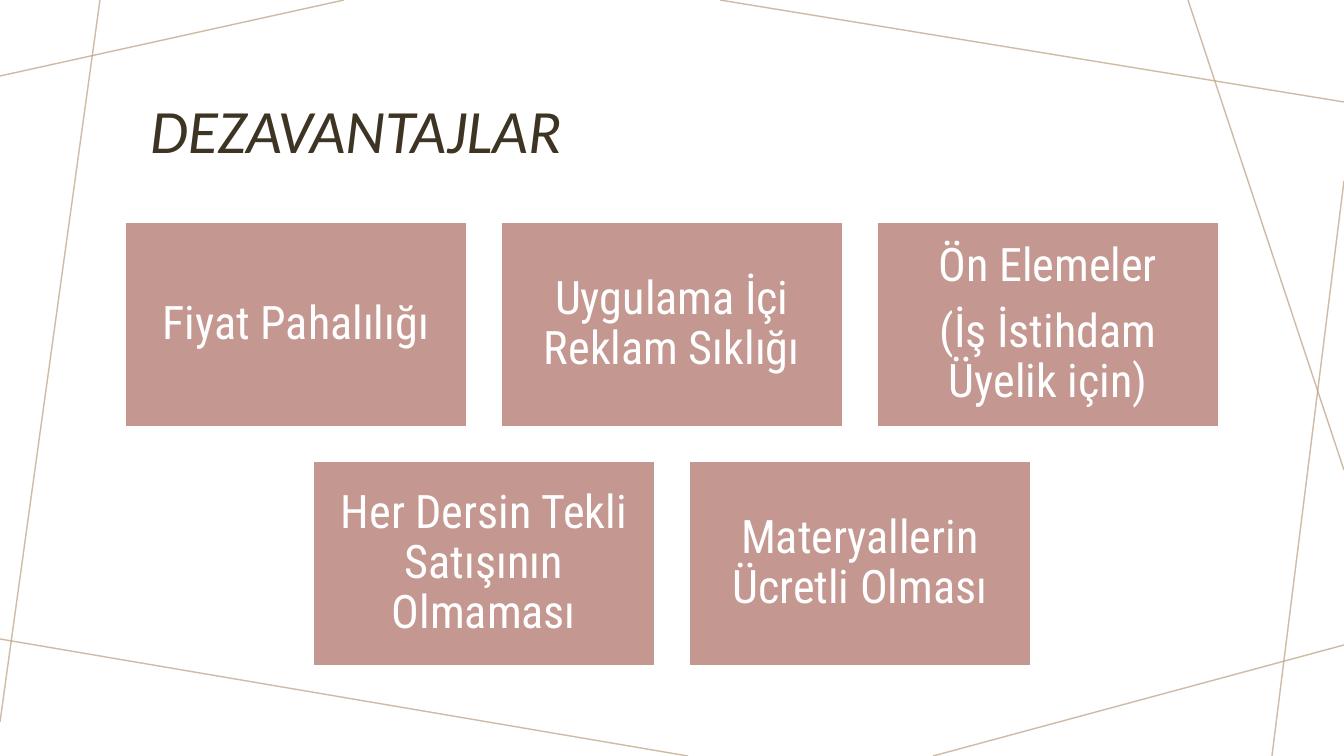
import dataclasses

import lxml.etree
import pptx
import pptx.dml.color
import pptx.enum.shapes
import pptx.enum.text
import pptx.oxml.ns
import pptx.shapes.autoshape
import pptx.slide
import pptx.text.text
import pptx.util

SCALE = 914400 / 100.8
WIDE, HIGH = 1344, 756
TAN = pptx.dml.color.RGBColor(0xBA, 0x9E, 0x7F)
ROSE = pptx.dml.color.RGBColor(0xC4, 0x97, 0x91)
BROWN = pptx.dml.color.RGBColor(0x3E, 0x34, 0x23)
WHITE = pptx.dml.color.RGBColor(0xFF, 0xFF, 0xFF)
CARD_W, CARD_H, GAP, TOP = 342, 205, 34, 222
MIDDLE = pptx.enum.text.MSO_ANCHOR.MIDDLE
ALIGN = pptx.enum.text.PP_ALIGN


def px(count: int) -> pptx.util.Emu:
    return pptx.util.Emu(round(count * SCALE))


TITLE_FONT = {"name": "Calibri", "size": pptx.util.Pt(44), "italic": True}
CARD_FONT = {"name": "Roboto Condensed", "size": pptx.util.Pt(33)}
TITLE_FRAME = {"word_wrap": True, "vertical_anchor": MIDDLE,
               "margin_left": px(24)}
CARD_FRAME = {"word_wrap": True, "vertical_anchor": MIDDLE,
              "margin_left": px(14), "margin_right": px(14),
              "margin_top": px(14), "margin_bottom": px(14)}
TITLE_PARA = {"alignment": ALIGN.LEFT, "line_spacing": 0.9}
CARD_PARA = {"alignment": ALIGN.CENTER, "line_spacing": 0.9}


@dataclasses.dataclass(frozen=True)
class Ray:
    x1: int
    y1: int
    x2: int
    y2: int


@dataclasses.dataclass(frozen=True)
class Card:
    lines: tuple[str, ...]


RAYS = (
    Ray(344, 0, 0, 76),
    Ray(100, 0, 0, 722),
    Ray(688, HIGH, 0, 639),
    Ray(WIDE, 645, 933, HIGH),
    Ray(WIDE, 181, 1272, HIGH),
    Ray(WIDE, 470, 1188, 0),
    Ray(WIDE, 102, 720, 0),
)
ROWS = (
    (Card(("Fiyat Pahalılığı",)),
     Card(("Uygulama İçi Reklam Sıklığı",)),
     Card(("Ön Elemeler", "(İş İstihdam Üyelik için)"))),
    (Card(("Her Dersin Tekli Satışının Olmaması",)),
     Card(("Materyallerin Ücretli Olması",))),
)


def apply(target: object, values: dict) -> None:
    for name, value in values.items():
        setattr(target, name, value)


def style(para: pptx.text.text._Paragraph, form: dict, font: dict,
          color: pptx.dml.color.RGBColor) -> None:
    apply(para, form)
    apply(para.font, font)
    para.font.color.rgb = color


def draw_ray(slide: pptx.slide.Slide, ray: Ray) -> None:
    line = slide.shapes.add_connector(
        pptx.enum.shapes.MSO_CONNECTOR.STRAIGHT,
        px(ray.x1), px(ray.y1), px(ray.x2), px(ray.y2))
    line.line.width = pptx.util.Pt(1)
    line.line.color.rgb = TAN
    qn = pptx.oxml.ns.qn
    props = line._element.spPr
    tint = props.find(".//" + qn("a:srgbClr"))
    lxml.etree.SubElement(tint, qn("a:alpha"), val="70000")
    lxml.etree.SubElement(props, qn("a:effectLst"))


def draw_title(slide: pptx.slide.Slide) -> None:
    title = slide.shapes.title
    apply(title, {"left": px(126), "top": px(58),
                  "width": px(1092), "height": px(152)})
    frame = title.text_frame
    frame.text = "DEZAVANTAJLAR"
    apply(frame, TITLE_FRAME)
    style(frame.paragraphs[0], TITLE_PARA, TITLE_FONT, BROWN)


def draw_card(slide: pptx.slide.Slide, card: Card, left: int, top: int) -> None:
    box = slide.shapes.add_shape(
        pptx.enum.shapes.MSO_SHAPE.RECTANGLE,
        px(left), px(top), px(CARD_W), px(CARD_H))
    box.shadow.inherit = False
    box.fill.solid()
    box.fill.fore_color.rgb = ROSE
    box.line.color.rgb = WHITE
    box.line.width = pptx.util.Pt(1)
    frame = box.text_frame
    frame.text = "\n".join(card.lines)
    apply(frame, CARD_FRAME)
    for para in frame.paragraphs:
        style(para, CARD_PARA, CARD_FONT, WHITE)
    for para in frame.paragraphs[1:]:
        para.space_before = pptx.util.Pt(11.5)


def main() -> None:
    deck = pptx.Presentation()
    deck.slide_width, deck.slide_height = px(WIDE), px(HIGH)
    slide = deck.slides.add_slide(deck.slide_layouts[5])
    for ray in RAYS:
        draw_ray(slide, ray)
    draw_title(slide)
    for row, cards in enumerate(ROWS):
        span = len(cards) * (CARD_W + GAP) - GAP
        start = (WIDE - span) // 2
        for col, card in enumerate(cards):
            draw_card(slide, card, start + col * (CARD_W + GAP),
                      TOP + row * (CARD_H + GAP))
    deck.save("out.pptx")


if __name__ == "__main__":
    main()
